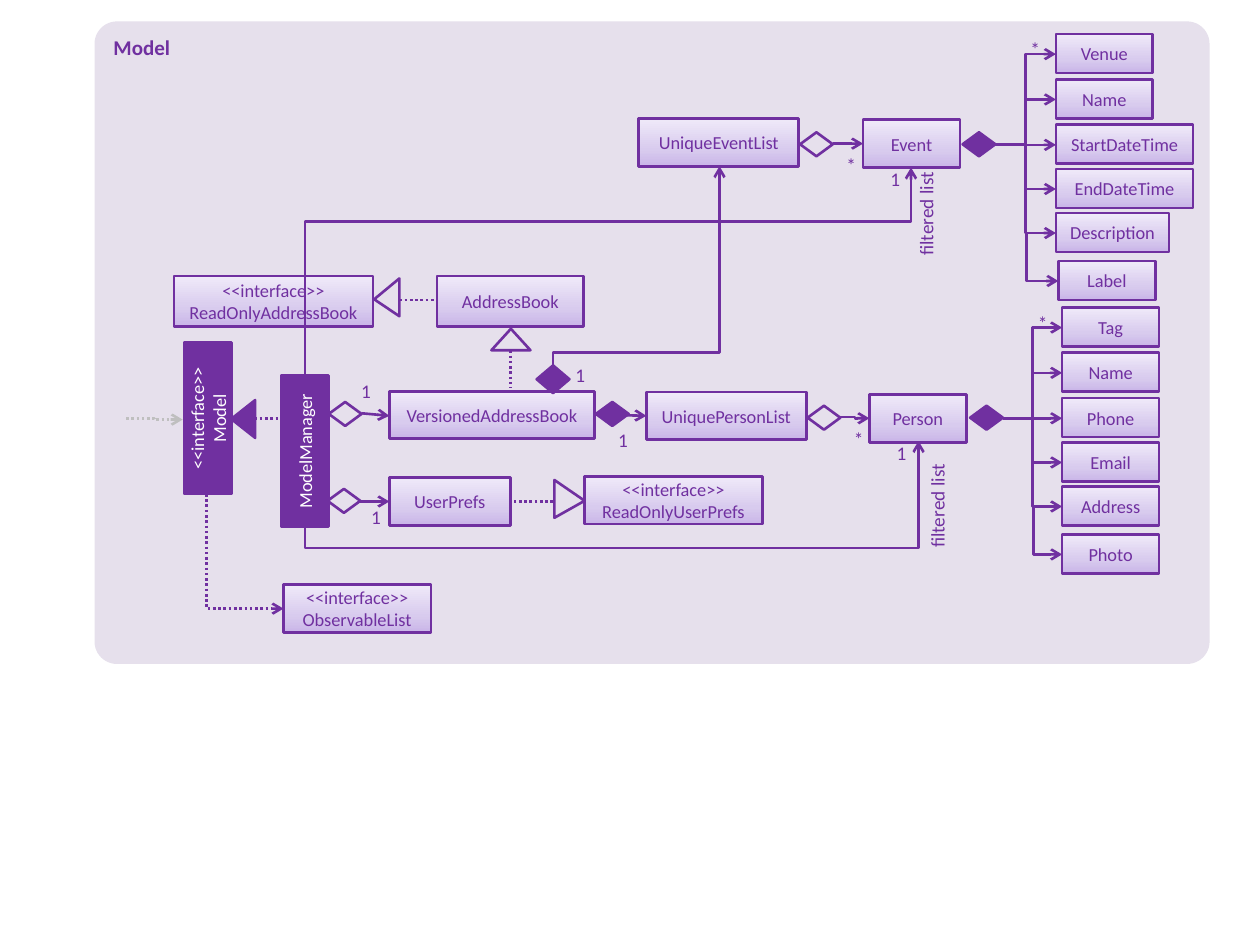
"""Build a class diagram of the Model component."""
from copy import deepcopy

from lxml import etree
from pptx import Presentation
from pptx import util as u
from pptx.dml.color import RGBColor
from pptx.enum import dml, shapes, text
from pptx.oxml.ns import qn

color = RGBColor.from_string
PURPLE, LAVENDER, WHITE, GRAY = "7030A0", "E6E0EC", "FFFFFF", "BFBFBF"
GRADIENT = [(0, "C9B5E8"), (0.35, "D8CBEE"), (1, "F0EAF9")]
KIND = shapes.MSO_SHAPE
CENTER, RIGHT = text.PP_ALIGN.CENTER, text.PP_ALIGN.RIGHT
TOP, MIDDLE = text.MSO_ANCHOR.TOP, text.MSO_ANCHOR.MIDDLE

presentation = Presentation()
presentation.slide_width, presentation.slide_height = u.Inches(10), u.Inches(7.5)
slide = presentation.slides.add_slide(presentation.slide_layouts[6])


def add_item(words, *place, kind=KIND.RECTANGLE, fill=GRADIENT, line=PURPLE, ink=PURPLE, size=10.5,
             bold=False, align=CENTER, anchor=MIDDLE, rotation=0, adjust=None, inset=None):
    """Add a shape, or a text box when kind is None, with formatted text."""
    place = [u.Inches(value) for value in place]
    if kind is None:
        shape = slide.shapes.add_textbox(*place)
    else:
        shape = slide.shapes.add_shape(kind, *place)
        shape.shadow.inherit = False
        if fill is GRADIENT:
            shape.fill.gradient()
            shape.fill.gradient_angle = 90
            stop_list = shape._element.spPr.find(".//" + qn("a:gsLst"))
            stop_list.append(deepcopy(stop_list[0]))
            for stop, (position, tone) in zip(shape.fill.gradient_stops, GRADIENT):
                stop.position = position
                stop.color.rgb = color(tone)
        elif fill:
            shape.fill.solid()
            shape.fill.fore_color.rgb = color(fill)
        else:
            shape.fill.background()
        if line:
            shape.line.color.rgb = color(line)
            shape.line.width = u.Pt(1.5)
        else:
            shape.line.fill.background()
    shape.rotation = rotation
    if adjust is not None:
        shape.adjustments[0] = adjust
    if not words:
        return
    frame = shape.text_frame
    frame.word_wrap = True
    frame.vertical_anchor = anchor
    if inset is not None:
        frame.margin_left = frame.margin_top = frame.margin_right = frame.margin_bottom = u.Inches(inset)
    frame.text = words
    for paragraph in frame.paragraphs:
        paragraph.alignment = align
        for run in paragraph.runs:
            run.font.name, run.font.size, run.font.bold = "Calibri", u.Pt(size), bold
            run.font.color.rgb = color(ink)


def add_link(x1, y1, x2, y2, bend=None, upright=False, corner=False, dotted=False, arrow=True, ink=PURPLE):
    """Add a straight or bent connector; an upright one leaves vertically."""
    if upright:
        middle_x, middle_y, half_x, half_y = (x1 + x2) / 2, (y1 + y2) / 2, (x2 - x1) / 2, (y2 - y1) / 2
        x1, y1 = middle_x - half_y, middle_y + half_x
        x2, y2 = middle_x + half_y, middle_y - half_x
    straight = bend is None and not corner
    style = shapes.MSO_CONNECTOR.STRAIGHT if straight else shapes.MSO_CONNECTOR.ELBOW
    connector = slide.shapes.add_connector(style, *[u.Inches(value) for value in (x1, y1, x2, y2)])
    connector.line.color.rgb = color(ink)
    connector.line.width = u.Pt(1.5)
    if dotted:
        connector.line.dash_style = dml.MSO_LINE.ROUND_DOT
    properties = connector._element.spPr
    if arrow:
        etree.SubElement(properties.find(qn("a:ln")), qn("a:tailEnd"), type="arrow")
    etree.SubElement(properties, qn("a:effectLst"))
    if upright:
        properties.find(qn("a:xfrm")).set("rot", "5400000")
    geometry = properties.find(qn("a:prstGeom"))
    if corner:
        geometry.set("prst", "bentConnector2")
    elif bend is not None:
        guides = geometry.find(qn("a:avLst"))
        if guides is None:
            guides = etree.SubElement(geometry, qn("a:avLst"))
        etree.SubElement(guides, qn("a:gd"), name="adj1", fmla=f"val {round(bend * 100000)}")


add_item("Model", 0.75, 0.17, 8.85, 5.1, kind=KIND.ROUNDED_RECTANGLE, adjust=0.035, fill=LAVENDER,
         line=None, size=12, bold=True, align=text.PP_ALIGN.LEFT, anchor=TOP)

for words, *place in [
    ("UserPrefs", 3.09, 3.79, 0.96, 0.38),
    ("VersionedAddressBook", 3.09, 3.11, 1.63, 0.37),
    ("UniquePersonList", 5.13, 3.11, 1.27, 0.38),
    ("Person", 6.9, 3.13, 0.77, 0.38),
    ("<<interface>>\vReadOnlyAddressBook", 1.38, 2.19, 1.58, 0.4),
    ("<<interface>>\vObservableList", 2.25, 4.64, 1.17, 0.38),
    ("AddressBook", 3.47, 2.19, 1.16, 0.4),
    ("<<interface>>\nReadOnlyUserPrefs", 4.64, 3.78, 1.41, 0.38),
    ("UniqueEventList", 5.07, 0.94, 1.27, 0.38),
    ("Event", 6.85, 0.95, 0.77, 0.38),
]:
    add_item(words, *place)

for words, left, top in [("ModelManager", 1.82, 3.39), ("<<interface>>\nModel", 1.05, 3.13)]:
    add_item(words, left, top, 1.2, 0.38, rotation=270, fill=PURPLE, ink=WHITE)

row_tops = [0.27, 0.63, 0.99, 1.34, 1.69, 2.07]
event_parts = [("Venue", 0.77), ("Name", 0.77), ("StartDateTime", 1.09), ("EndDateTime", 1.09),
               ("Description", 0.9), ("Label", 0.77)]
person_parts = [(words, 0.77) for words in ("Tag", "Name", "Phone", "Email", "Address", "Photo")]
for parts, left, last_left, start_x, start_y, shift in [
    (event_parts, 8.38, 8.4, 7.9, 1.15, 0),
    (person_parts, 8.43, 8.43, 7.96, 3.32, 2.17),
]:
    for row, ((words, width), row_top) in enumerate(zip(parts, row_tops)):
        top = row_top + shift
        if row < 5:
            add_item(words, left, top, width, 0.31)
            add_link(start_x, start_y, left, top + 0.16, bend=0.5)
        else:
            add_item(words, last_left, top, width, 0.31)
            add_link(start_x + 0.24, row_tops[4] + shift + 0.16, last_left, top + 0.16, bend=0.02)

for ends in [(2.85, 3.98, 3.09, 3.98), (2.87, 3.28, 3.09, 3.3), (4.73, 3.29, 5.13, 3.3)]:
    add_link(*ends)
for ends in [(6.67, 3.31, 6.9, 3.32), (6.61, 1.14, 6.85, 1.14)]:
    add_link(*ends, bend=0.5)
for ends in [(2.02, 3.32, 2.26, 3.32), (4.05, 2.78, 4.05, 3.08), (3.17, 2.38, 3.47, 2.38),
             (4.39, 3.98, 4.05, 3.98)]:
    add_link(*ends, dotted=True, arrow=False)
add_link(1, 3.32, 1.45, 3.33, bend=0.5, dotted=True, ink=GRAY)
add_link(1.64, 3.92, 2.25, 4.83, upright=True, corner=True, dotted=True)
for *ends, bend in [
    (2.42, 4.18, 7.29, 3.5, -0.25),
    (4.39, 3.08, 5.71, 1.32, 0.16),
    (2.42, 2.98, 7.23, 1.33, 0.74),
]:
    add_link(*ends, bend=bend, upright=True)

for left, top, height, fill in [
    (2.6, 3.88, 0.19, None), (2.61, 3.19, 0.19, None), (6.41, 3.22, 0.19, None), (6.35, 1.05, 0.19, None),
    (4.73, 3.19, 0.19, PURPLE), (7.7, 3.22, 0.19, PURPLE), (7.64, 1.05, 0.19, PURPLE), (4.26, 2.9, 0.22, PURPLE),
]:
    add_item("", left, top, 0.26, height, kind=KIND.FLOWCHART_DECISION, fill=fill)

for *place, rotation, adjust, fill in [
    (1.78, 3.23, 0.3, 0.19, 270, 0.5, PURPLE),
    (3.9, 2.61, 0.31, 0.17, 0, 0.5, LAVENDER),
    (2.92, 2.26, 0.3, 0.2, 270, 0.45, LAVENDER),
    (4.37, 3.84, 0.3, 0.24, 90, 0.55, LAVENDER),
]:
    add_item("", *place, kind=KIND.ISOSCELES_TRIANGLE, rotation=rotation, adjust=adjust, fill=fill)

for words, left, top in [
    ("1", 4.84, 3.4), ("*", 6.71, 3.39), ("1", 2.8, 3.01), ("1", 2.88, 4.01), ("1", 7.05, 3.5),
    ("*", 8.17, 2.47), ("1", 4.5, 2.88), ("*", 6.65, 1.22), ("1", 7, 1.33), ("*", 8.11, 0.3),
]:
    add_item(words, left, top, 0.21, 0.2, kind=None, size=11, anchor=TOP, inset=0)

for left, top in [(6.96, 3.92), (6.87, 1.6)]:
    add_item("filtered list", left, top, 0.96, 0.29, kind=None, size=11, align=RIGHT, anchor=TOP, rotation=270)

presentation.save("out.pptx")
